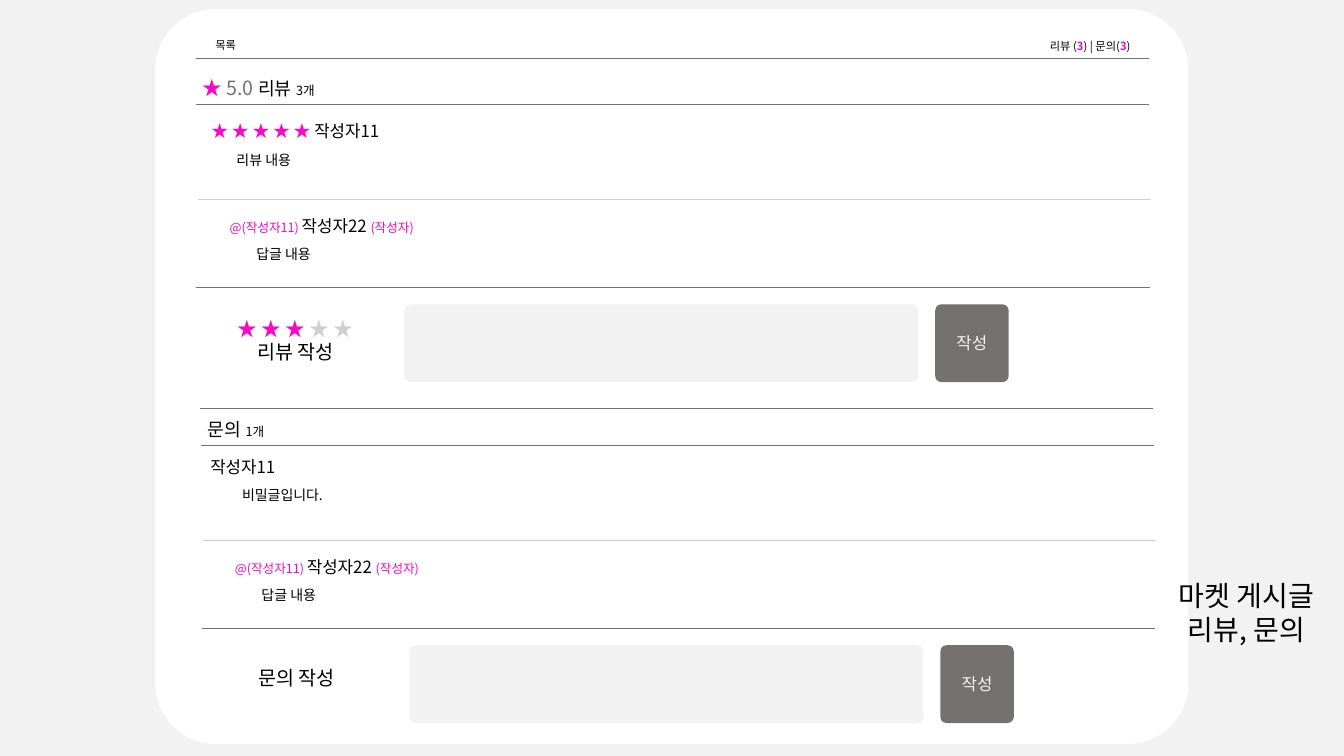
from lxml import etree
from pptx import Presentation
from pptx.dml.color import RGBColor
from pptx.enum.shapes import MSO_CONNECTOR as Connector, MSO_SHAPE as Shape
from pptx.enum.text import MSO_ANCHOR as Anchor, PP_ALIGN as Align
from pptx.oxml.ns import qn
from pptx.util import Cm, Pt

BLACK = RGBColor(0x00, 0x00, 0x00)
WHITE = RGBColor(0xFF, 0xFF, 0xFF)
PINK = RGBColor(0xFE, 0x06, 0xC9)
GRAY = RGBColor(0x76, 0x71, 0x71)
SILVER = RGBColor(0xD0, 0xCE, 0xCE)
PALE = RGBColor(0xF2, 0xF2, 0xF2)


class Board:
    font = "Noto Sans CJK KR"
    corner = 0.083

    def __init__(self, slide):
        self.slide = slide
        slide.background.fill.solid()
        slide.background.fill.fore_color.rgb = PALE

    def add_runs(self, paragraph, runs, **formats):
        """Each run is (text, size, colour) with an optional bold flag."""
        for name, value in formats.items():
            setattr(paragraph, name, value)
        for text, size, color, *bold in runs:
            run = paragraph.add_run()
            run.text = text
            style = {"size": Pt(size), "name": self.font, "bold": bool(bold)}
            for name, value in style.items():
                setattr(run.font, name, value)
            run.font.color.rgb = color
            east_asian = etree.SubElement(run._r.get_or_add_rPr(), qn("a:ea"))
            east_asian.set("typeface", self.font)

    def text(self, box, *lines, indents=(), **formats):
        frame = self.slide.shapes.add_textbox(*map(Cm, box)).text_frame
        frame.word_wrap = True
        for index, runs in enumerate(lines):
            paragraph = frame.add_paragraph() if index else frame.paragraphs[0]
            self.add_runs(paragraph, runs, **formats)
            if indents:
                properties = paragraph._p.get_or_add_pPr()
                properties.set("marL", str(Cm(indents[index])))
                properties.set("indent", "0")

    def panel(self, box, color, label=None):
        shape = self.slide.shapes.add_shape(Shape.ROUNDED_RECTANGLE, *map(Cm, box))
        shape.adjustments[0] = self.corner
        shape.shadow.inherit = False
        shape.fill.solid()
        shape.fill.fore_color.rgb = color
        shape.line.fill.background()
        if label:
            shape.text_frame.vertical_anchor = Anchor.MIDDLE
            self.add_runs(shape.text_frame.paragraphs[0], [label], alignment=Align.CENTER)

    def rule(self, left, top, color=GRAY, width=24.03):
        line = self.slide.shapes.add_connector(
            Connector.STRAIGHT, Cm(left), Cm(top), Cm(left + width), Cm(top))
        line.line.color.rgb = color
        line.line.width = Pt(0.5)
        etree.SubElement(line._element.spPr, qn("a:effectLst"))

    def thread(self, box, author, content, indents):
        self.text(box, author, [(content, 10, BLACK)],
                  indents=indents, line_spacing=Pt(19.4))

    def section(self, dx, dy):
        """Rules, reply, input field and button shared by both sections."""
        self.rule(4.93 + dx, 2.64 + dy)
        self.rule(4.98 + dx, 5.03 + dy, SILVER)
        self.rule(4.95 + dx, 7.24 + dy)
        reply = [("@(작성자11) ", 9, PINK), ("작성자22 ", 12, BLACK), ("(작성자)", 9, PINK)]
        self.thread((5.41 + dx, 5.13 + dy, 8.26, 1.63), reply, "답글 내용", (0.13, 0.8))
        self.panel((10.19 + dx, 7.67 + dy, 12.95, 1.96), PALE)
        self.panel((23.57 + dx, 7.67 + dy, 1.85, 1.96), GRAY, ("작성", 12, PALE))


def main():
    presentation = Presentation()
    presentation.slide_width, presentation.slide_height = Cm(33.87), Cm(19.05)
    board = Board(presentation.slides.add_slide(presentation.slide_layouts[6]))

    # Page panel, title and top bar
    board.panel((3.91, 0.23, 26.04, 18.52), WHITE)
    board.text((27.74, 14.45, 7.34, 1.96), [("마켓 게시글", 20, BLACK)],
               [("리뷰, 문의", 20, BLACK)], alignment=Align.CENTER)
    board.text((26.21, 0.86, 3.05, 0.61),
               [("리뷰 (", 8, BLACK), ("3", 8, PINK, True), (") | 문의(", 8, BLACK),
                ("3", 8, PINK, True), (")", 8, BLACK)])
    board.text((5.18, 0.84, 1.17, 0.61), [("목록", 8, BLACK)])
    board.rule(4.93, 1.47)

    # Reviews
    board.section(0, 0)
    board.text((4.85, 1.75, 4.95, 0.89),
               [("★ ", 14, PINK), ("5.0 ", 14, GRAY), ("리뷰", 13, BLACK),
                (" ", 15, BLACK), ("3개", 9, BLACK)])
    board.thread((4.93, 2.74, 6.43, 1.63),
                 [("★ ★ ★ ★ ★ ", 12, PINK), ("작성자11", 12, BLACK)],
                 "리뷰 내용", (0.15, 0.78))
    board.text((5.03, 7.85, 4.95, 1.45),
               [("★ ★ ★ ", 14, PINK), ("★ ★ ", 14, SILVER)],
               [("리뷰 작성 ", 14, BLACK)], alignment=Align.CENTER)

    # Inquiries
    board.rule(5.03, 10.29)
    board.section(0.13, 8.59)
    board.text((4.98, 10.34, 4.95, 0.89),
               [("문의", 13, BLACK), (" ", 15, BLACK), ("1개", 9, BLACK)])
    board.thread((5.05, 11.2, 6.43, 1.45), [("작성자11", 12, BLACK)],
                 "비밀글입니다.", (0, 0.8))
    board.text((5.05, 16.66, 4.95, 0.86), [("문의 작성 ", 14, BLACK)],
               alignment=Align.CENTER)

    presentation.save("out.pptx")


if __name__ == "__main__":
    main()
